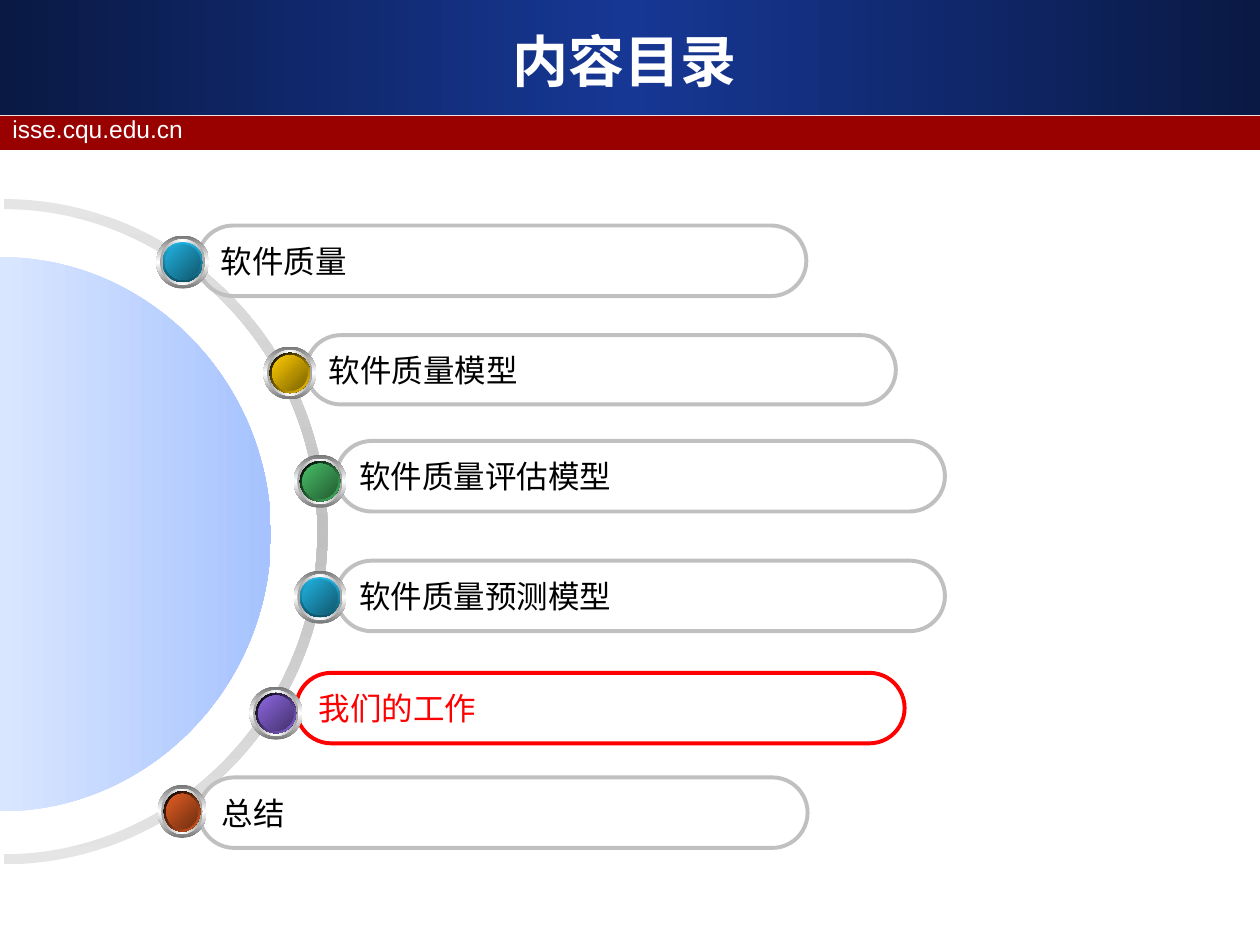
import lxml.etree
import pptx
import pptx.dml.color
import pptx.enum.shapes
import pptx.enum.text
import pptx.oxml.ns
import pptx.util

Inches = pptx.util.Inches
SHAPES = pptx.enum.shapes.MSO_SHAPE
ALIGN = pptx.enum.text.PP_ALIGN
ANCHOR = pptx.enum.text.MSO_ANCHOR
qn = pptx.oxml.ns.qn


def color(hex_string):
    return pptx.dml.color.RGBColor.from_string(hex_string)


def paint(shape, colors, angle=0):
    """Fill without outline: one colour is solid, more are evenly spaced gradient stops."""
    shape.shadow.inherit = False
    shape.line.fill.background()
    if len(colors) == 1:
        shape.fill.solid()
        shape.fill.fore_color.rgb = color(colors[0])
        return
    shape.fill.gradient()
    shape.fill.gradient_angle = -angle % 360
    stops = shape._element.spPr.find(".//" + qn("a:gsLst"))
    for stop in list(stops):
        stops.remove(stop)
    for index, value in enumerate(colors):
        position = str(100000 * index // (len(colors) - 1))
        stop = lxml.etree.SubElement(stops, qn("a:gs"), pos=position)
        lxml.etree.SubElement(stop, qn("a:srgbClr"), val=value)


presentation = pptx.Presentation()
presentation.slide_width = Inches(10)
presentation.slide_height = Inches(7.5)
slide = presentation.slides.add_slide(presentation.slide_layouts[6])

# Header bands: top, height, colours
bands = [
    (0, 0.91, ["0A1944", "163794", "0A1944"]),
    (0.92, 0.27, ["990000"]),
]
for top, height, colors in bands:
    band = slide.shapes.add_shape(
        SHAPES.RECTANGLE, 0, Inches(top), Inches(10), Inches(height))
    paint(band, colors)

# Header texts: text, box, anchor, alignment, font
headings = [
    ("isse.cqu.edu.cn", (0, 0.86, 9.61, 0.34), ANCHOR.TOP, ALIGN.LEFT,
     {"name": "Arial", "size": pptx.util.Pt(14)}),
    ("内容目录", (0.33, 0.17, 9.25, 0.62), ANCHOR.MIDDLE, ALIGN.CENTER,
     {"name": "DejaVu Sans", "size": pptx.util.Pt(32), "bold": True}),
]
for text, box, anchor, alignment, font in headings:
    heading = slide.shapes.add_textbox(*map(Inches, box))
    heading.text_frame.word_wrap = True
    heading.text_frame.vertical_anchor = anchor
    paragraph = heading.text_frame.paragraphs[0]
    paragraph.text = text
    paragraph.alignment = alignment
    paragraph.font.color.rgb = color("FFFFFF")
    for name, value in font.items():
        setattr(paragraph.font, name, value)

# Control points of a half circle drawn as two cubic curves, top to bottom
half_circle = [(0, -1), (0.55, -1), (1, -0.55), (1, 0), (1, 0.55), (0.55, 1), (0, 1)]
outer_arc, inner_arc, disc_arc = [
    [(Inches(left + radius_x * x), Inches(middle + radius_y * y)) for x, y in half_circle]
    for left, middle, radius_x, radius_y in [
        (0.03, 4.22, 2.57, 2.64), (0.03, 4.22, 2.49, 2.56), (0, 4.24, 2.15, 2.2)]
]
outlines = [
    (outer_arc + inner_arc[::-1], ["E5E5E5", "C0C0C0", "E5E5E5"], 90),
    (disc_arc, ["D9E6FF", "A6C3FF"], 0),
]
for points, colors, angle in outlines:
    builder = slide.shapes.build_freeform(*points[0])
    builder.add_line_segments(points[1:], close=True)
    half = builder.convert_to_shape()
    paint(half, colors, angle)
    # Turn each three points after an arc's start into one cubic curve
    commands = list(half._element.spPr.find(".//" + qn("a:path")))
    for start in range(0, len(points), len(half_circle)):
        for first in (start + 1, start + 4):
            curve = lxml.etree.Element(qn("a:cubicBezTo"))
            commands[first].addprevious(curve)
            for command in commands[first:first + 3]:
                curve.append(command[0])
                command.getparent().remove(command)

# Topics: text, pill box, text colour, line colour, knob box, knob colours (light, dark)
topics = [
    ("软件质量", (1.57, 1.79, 4.83, 0.56), "000000", "C0C0C0",
     (1.24, 1.87, 0.42, 0.42), ("21B3E1", "10576D")),
    ("软件质量模型", (2.43, 2.66, 4.68, 0.55), "000000", "C0C0C0",
     (2.09, 2.75, 0.42, 0.42), ("FFCC00", "7C6300")),
    ("软件质量评估模型", (2.67, 3.5, 4.83, 0.56), "000000", "C0C0C0",
     (2.33, 3.61, 0.42, 0.42), ("48BE67", "235C32")),
    ("软件质量预测模型", (2.67, 4.45, 4.83, 0.56), "000000", "C0C0C0",
     (2.33, 4.53, 0.42, 0.42), ("21B3E1", "10576D")),
    ("我们的工作", (2.35, 5.34, 4.83, 0.56), "FF0000", "FF0000",
     (1.98, 5.45, 0.42, 0.42), ("8D67E1", "45326D")),
    ("总结", (1.58, 6.17, 4.83, 0.56), "000000", "C0C0C0",
     (1.25, 6.23, 0.39, 0.42), ("E35E23", "6E2E11")),
]
for text, box, text_color, line_color, knob_box, (light, dark) in topics:
    pill = slide.shapes.add_shape(SHAPES.ROUNDED_RECTANGLE, *map(Inches, box))
    pill.adjustments[0] = 0.5
    pill.shadow.inherit = False
    pill.fill.background()
    pill.line.color.rgb = color(line_color)
    pill.line.width = pptx.util.Pt(2.25)
    pill.text_frame.word_wrap = True
    pill.text_frame.vertical_anchor = ANCHOR.MIDDLE
    paragraph = pill.text_frame.paragraphs[0]
    paragraph.text = text
    paragraph.alignment = ALIGN.LEFT
    paragraph.font.color.rgb = color(text_color)
    for name, value in {"name": "Noto Sans CJK SC", "size": pptx.util.Pt(18)}.items():
        setattr(paragraph.font, name, value)

    # Knob layers from outside in: inset, colours, angle
    if light == "21B3E1":
        rim = (0.05, [light, "0F5368"], 90)
    else:
        rim = (0.05, ["000000", light], 45)
    layers = [
        (0, ["767676", "FFFFFF", "767676"], 90),
        (0.03, ["A2A2A2", "FFFFFF", "A2A2A2"], 0),
        rim,
        (0.07, [light, dark], 45),
    ]
    knob = slide.shapes.add_group_shape()
    left, top, width, height = knob_box
    for inset, colors, angle in layers:
        disc = knob.shapes.add_shape(
            SHAPES.OVAL, Inches(left + inset), Inches(top + inset),
            Inches(width - 2 * inset), Inches(height - 2 * inset))
        paint(disc, colors, angle)

presentation.save("out.pptx")
